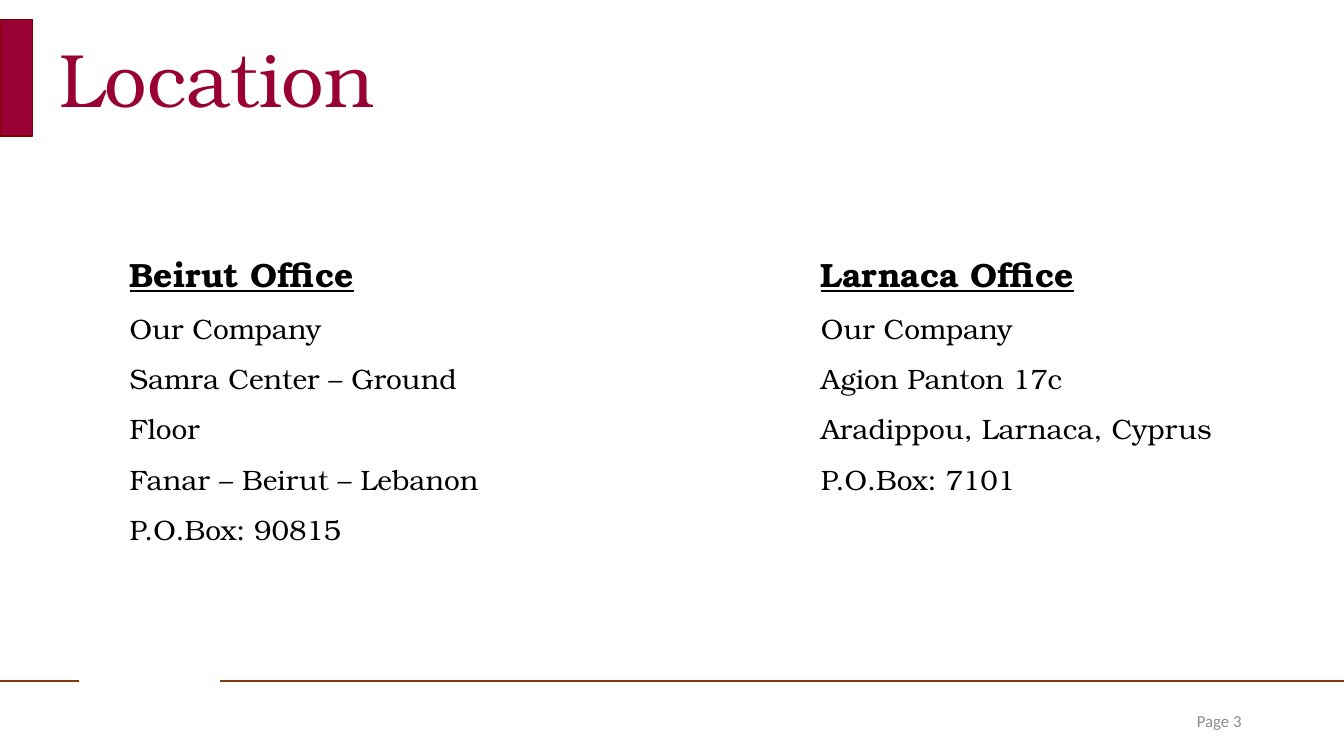
from dataclasses import dataclass

from lxml.etree import SubElement
from pptx import Presentation
from pptx.dml.color import RGBColor as Color
from pptx.enum.shapes import MSO_CONNECTOR as Connector, MSO_SHAPE as Shape
from pptx.enum.text import MSO_ANCHOR as Anchor, PP_ALIGN as Align
from pptx.oxml.ns import qn
from pptx.util import Pt


@dataclass(frozen=True)
class Theme:
    accent: Color = Color(0x99, 0x00, 0x33)
    accent_edge: Color = Color(0x80, 0x00, 0x00)
    rule: Color = Color(0x84, 0x3C, 0x0B)
    text: Color = Color(0x00, 0x00, 0x00)
    muted: Color = Color(0x8C, 0x8C, 0x8C)
    serif: str = "TeX Gyre Bonum"
    sans: str = "Calibri"
    title_size: int = 54
    heading_size: int = 24
    body_size: int = 20
    footer_size: int = 12


THEME = Theme()
SLIDE_WIDTH, SLIDE_HEIGHT = 960, 540
RULE_TOP = 486.5
RULE_SPANS = [(0, 56.5), (157, SLIDE_WIDTH)]
OFFICE_TOP, OFFICE_WIDTH, OFFICE_HEIGHT = 163.5, 295, 192
OFFICES = [
    (85.5, "Beirut Office", [
        "Our Company",
        "Samra Center – Ground Floor",
        "Fanar – Beirut – Lebanon",
        "P.O.Box: 90815",
    ]),
    (579.3, "Larnaca Office", [
        "Our Company",
        "Agion Panton 17c",
        "Aradippou, Larnaca, Cyprus",
        "P.O.Box: 7101",
    ]),
]


def add_rule(slide, start, end):
    rule = slide.shapes.add_connector(
        Connector.STRAIGHT, Pt(start), Pt(RULE_TOP), Pt(end), Pt(RULE_TOP))
    rule.line.color.rgb = THEME.rule
    rule.line.width = Pt(1.5)
    SubElement(rule._element.spPr, qn("a:effectLst"))


def add_accent_bar(slide):
    bar = slide.shapes.add_shape(Shape.RECTANGLE, 0, Pt(13.8), Pt(23.3), Pt(83.5))
    bar.shadow.inherit = False
    bar.fill.solid()
    bar.fill.fore_color.rgb = THEME.accent
    bar.line.color.rgb = THEME.accent_edge
    bar.line.width = Pt(1)


def add_text_frame(slide, left, top, width, height, anchor=Anchor.TOP):
    box = slide.shapes.add_textbox(Pt(left), Pt(top), Pt(width), Pt(height))
    frame = box.text_frame
    frame.word_wrap = True
    frame.vertical_anchor = anchor
    return frame


def add_run(paragraph, text, size, color, font=THEME.serif, heading=False):
    run = paragraph.add_run()
    run.text = text
    run.font.name = font
    run.font.size = Pt(size)
    run.font.color.rgb = color
    run.font.bold = heading
    run.font.underline = heading


def add_title(slide, text):
    frame = add_text_frame(slide, 35.5, 19.3, 330, 72.7)
    add_run(frame.paragraphs[0], text, THEME.title_size, THEME.accent)


def add_page_label(slide, text):
    frame = add_text_frame(slide, 678, 500.5, 216, 28.8, Anchor.MIDDLE)
    paragraph = frame.paragraphs[0]
    paragraph.alignment = Align.RIGHT
    add_run(paragraph, text, THEME.footer_size, THEME.muted, THEME.sans)


def add_office(slide, left, name, address):
    frame = add_text_frame(slide, left, OFFICE_TOP, OFFICE_WIDTH, OFFICE_HEIGHT)
    heading = frame.paragraphs[0]
    heading.line_spacing = 1.5
    add_run(heading, name, THEME.heading_size, THEME.text, heading=True)
    for line in address:
        paragraph = frame.add_paragraph()
        paragraph.line_spacing = 1.5
        add_run(paragraph, line, THEME.body_size, THEME.text)


def main():
    presentation = Presentation()
    presentation.slide_width = Pt(SLIDE_WIDTH)
    presentation.slide_height = Pt(SLIDE_HEIGHT)
    slide = presentation.slides.add_slide(presentation.slide_layouts[6])
    for start, end in RULE_SPANS:
        add_rule(slide, start, end)
    add_accent_bar(slide)
    add_page_label(slide, "Page 3")
    add_title(slide, "Location")
    for left, name, address in OFFICES:
        add_office(slide, left, name, address)
    presentation.save("out.pptx")


if __name__ == "__main__":
    main()
